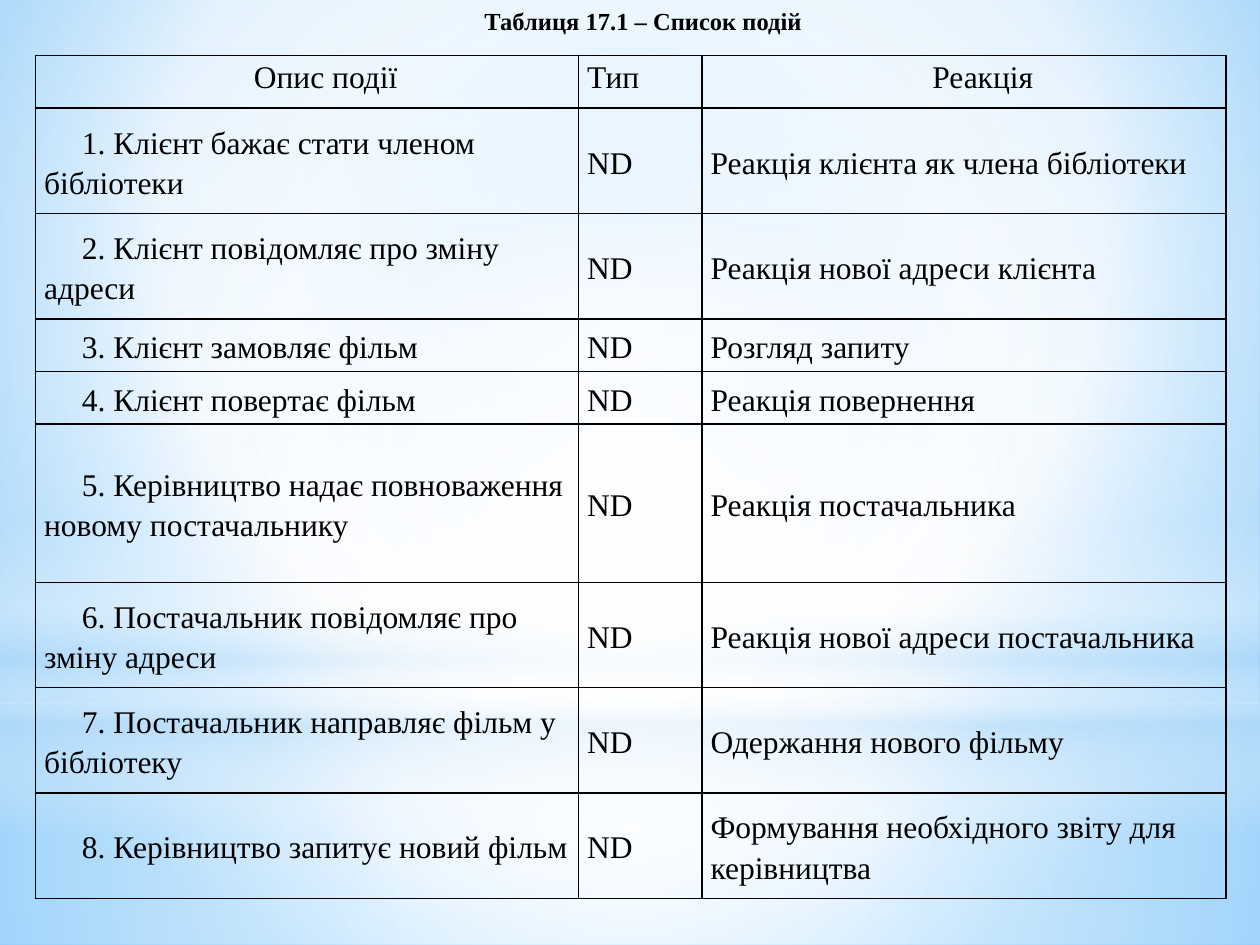
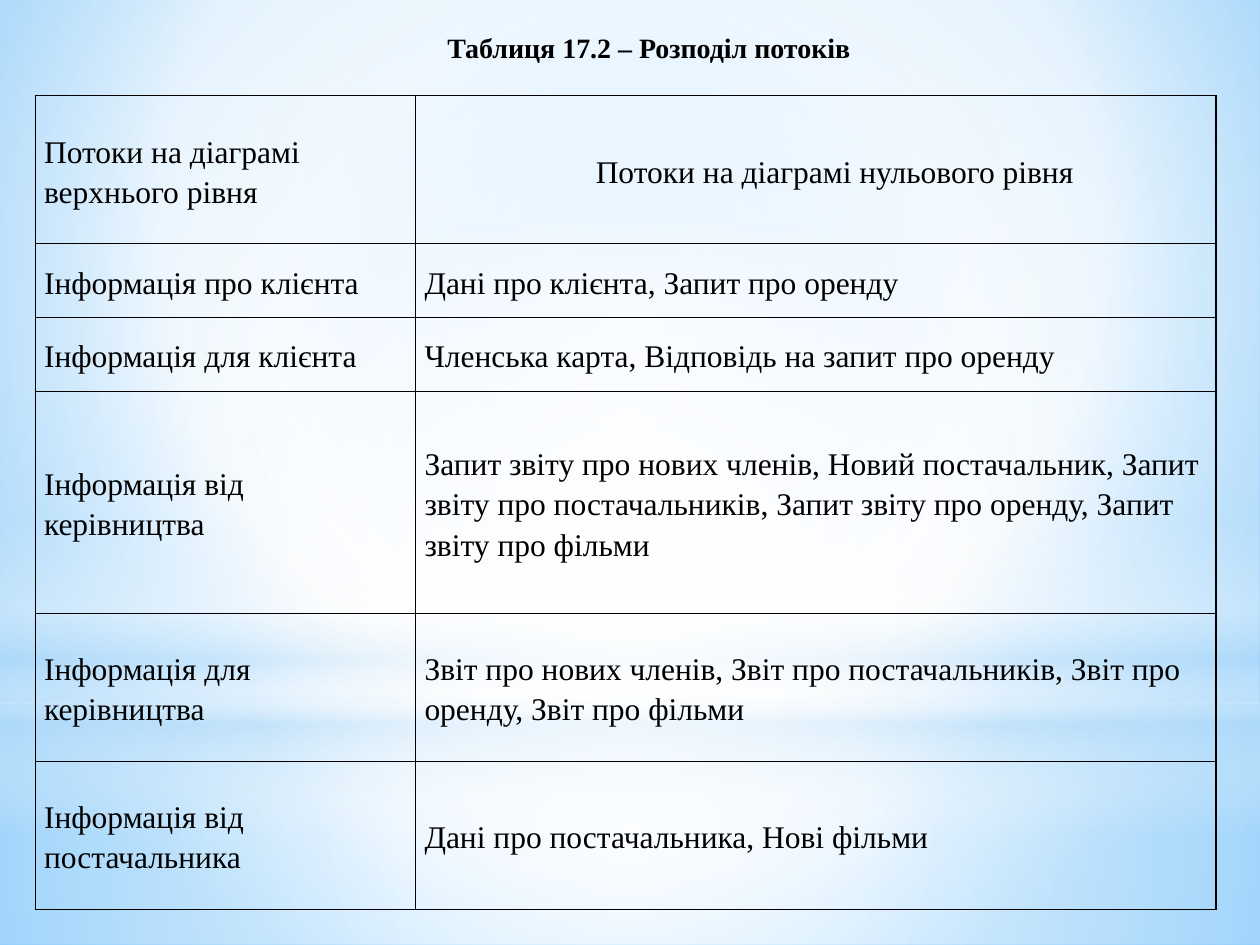
from dataclasses import dataclass

from lxml import etree
from pptx import Presentation
from pptx.dml.color import RGBColor
from pptx.enum.shapes import MSO_SHAPE
from pptx.enum.text import MSO_ANCHOR, PP_ALIGN
from pptx.oxml.ns import qn
from pptx.util import Inches, Pt

RECTANGLE, OVAL = MSO_SHAPE.RECTANGLE, MSO_SHAPE.OVAL
TOP, MIDDLE = MSO_ANCHOR.TOP, MSO_ANCHOR.MIDDLE
LEFT, CENTER = PP_ALIGN.LEFT, PP_ALIGN.CENTER


@dataclass(frozen=True)
class Theme:
    font: str = "Times New Roman"
    ink: str = "000000"
    white: str = "FFFFFF"
    mist: str = "B4DCFA"
    sky: str = "9ED5FF"
    azure: str = "5BB9FF"
    body_size: int = 18
    line_spacing: float = 1.15
    indent: float = 0.3
    cell_margin: float = 0.07
    border: float = 1


THEME = Theme()
MIDPOINT = (50, 50, 50, 50)


# --- Helpers -----------------------------------------------------------------
def add_child(parent, tag, **attributes):
    child = etree.SubElement(parent, qn(tag))
    for name, value in attributes.items():
        child.set(name, str(value))
    return child


def paint_gradient(fill, properties, stops, focus=None):
    """Fill with (position, colour, opacity) stops, round a focus or downwards."""
    fill.solid()
    solid = properties.find(qn("a:solidFill"))
    gradient = etree.Element(qn("a:gradFill"), rotWithShape="1")
    stop_list = add_child(gradient, "a:gsLst")
    for position, colour, opacity in stops:
        stop = add_child(stop_list, "a:gs", pos=position * 1000)
        tint = add_child(stop, "a:srgbClr", val=colour)
        if opacity < 100:
            add_child(tint, "a:alpha", val=opacity * 1000)
    if focus:
        circle = add_child(gradient, "a:path", path="circle")
        sides = {side: share * 1000 for side, share in zip("ltrb", focus)}
        add_child(circle, "a:fillToRect", **sides)
    else:
        add_child(gradient, "a:lin", ang=90 * 60000, scaled=0)
    properties.replace(solid, gradient)


def write(frame, text, size, bold=False, align=LEFT, indent=0, spacing=None):
    para = frame.paragraphs[0]
    para.alignment = align
    para.line_spacing = spacing
    if indent:
        para._p.get_or_add_pPr().set("indent", str(Inches(indent)))
    span = para.add_run()
    span.text = text
    span.font.name = THEME.font
    span.font.size = Pt(size)
    span.font.bold = bold
    span.font.color.rgb = RGBColor.from_string(THEME.ink)


def frame_cell(cell):
    cell.fill.background()
    properties = cell._tc.get_or_add_tcPr()
    for place, side in enumerate(("a:lnL", "a:lnR", "a:lnT", "a:lnB")):
        line = etree.Element(qn(side), w=str(Pt(THEME.border)))
        add_child(add_child(line, "a:solidFill"), "a:srgbClr", val=THEME.ink)
        properties.insert(place, line)


# --- Shared backdrop, on the master ------------------------------------------
def build_backdrop(master, page):
    white, mist = THEME.white, THEME.mist
    background = master.background.fill
    background.solid()
    paint_gradient(background, master.element.find(".//" + qn("p:bgPr")),
                   [(0, THEME.sky, 100), (60, white, 100), (100, THEME.azure, 100)],
                   (20, 10, 20, 60))
    layers = [
        (RECTANGLE, (0, 5.58, 10, 1.92),
         [(0, white, 91), (37, white, 76), (100, mist, 79)], MIDPOINT),
        (RECTANGLE, (0, 0, 10, 5.58),
         [(0, white, 89), (48, white, 62), (100, mist, 79)], MIDPOINT),
        (RECTANGLE, (0, 4.12, 10, 2.5),
         [(0, white, 0), (29, white, 30), (45, mist, 40),
          (55, white, 26), (65, mist, 60), (100, white, 0)], None),
        (OVAL, (0, 1.75, 10, 5.58), [(0, white, 100), (56, white, 0)], MIDPOINT),
    ]
    for kind, box, stops, focus in layers:
        layer = page.shapes.add_shape(kind, *map(Inches, box))
        layer.shadow.inherit = False
        layer.line.fill.background()
        paint_gradient(layer.fill, layer.element.spPr, stops, focus)
        master.shapes.element.append(layer.element)


# --- Regions -----------------------------------------------------------------
def build_title(page, box, text, size, anchor):
    frame = page.shapes.add_textbox(*map(Inches, box)).text_frame
    frame.word_wrap = True
    frame.vertical_anchor = anchor
    write(frame, text, size, bold=True, align=CENTER, indent=THEME.indent)


def build_table(page, box, widths, row_units, rows, centred_heads,
                indented_columns=(), head_anchor=MIDDLE):
    """Row heights share the box height in proportion to row_units."""
    graphic = page.shapes.add_table(len(rows), len(widths), *map(Inches, box))
    table = graphic.table
    table.first_row = table.horz_banding = False
    for column, width in zip(table.columns, widths):
        column.width = Inches(width)
    unit = box[3] / sum(row_units)
    for i, texts in enumerate(rows):
        table.rows[i].height = Inches(row_units[i] * unit)
        for j, text in enumerate(texts):
            cell = table.cell(i, j)
            frame_cell(cell)
            cell.margin_left = cell.margin_right = Inches(THEME.cell_margin)
            cell.margin_top = cell.margin_bottom = 0
            cell.vertical_anchor = head_anchor if i == 0 else MIDDLE
            centred = i == 0 and j in centred_heads
            indented = centred or j in indented_columns
            write(cell.text_frame, text, THEME.body_size,
                  align=CENTER if centred else LEFT,
                  indent=THEME.indent if indented else 0,
                  spacing=THEME.line_spacing)


# --- Content -----------------------------------------------------------------
EVENTS = [
    ("Клієнт бажає стати членом бібліотеки", "Реакція клієнта як члена бібліотеки"),
    ("Клієнт повідомляє про зміну адреси", "Реакція нової адреси клієнта"),
    ("Клієнт замовляє фільм", "Розгляд запиту"),
    ("Клієнт повертає фільм", "Реакція повернення"),
    ("Керівництво надає повноваження новому постачальнику", "Реакція постачальника"),
    ("Постачальник повідомляє про зміну адреси",
     "Реакція нової адреси постачальника"),
    ("Постачальник направляє фільм у бібліотеку", "Одержання нового фільму"),
    ("Керівництво запитує новий фільм",
     "Формування необхідного звіту для керівництва"),
]
EVENT_ROWS = [("Опис події", "Тип", "Реакція")] + [
    (f"{number}. {event}", "ND", reaction)
    for number, (event, reaction) in enumerate(EVENTS, 1)]

FLOW_ROWS = [
    ("Потоки на діаграмі верхнього рівня", "Потоки на діаграмі нульового рівня"),
    ("Інформація про клієнта", "Дані про клієнта, Запит про оренду"),
    ("Інформація для клієнта", "Членська карта, Відповідь на запит про оренду"),
    ("Інформація від керівництва",
     "Запит звіту про нових членів, Новий постачальник, Запит звіту про "
     "постачальників, Запит звіту про оренду, Запит звіту про фільми"),
    ("Інформація для керівництва",
     "Звіт про нових членів, Звіт про постачальників, Звіт про оренду, "
     "Звіт про фільми"),
    ("Інформація від постачальника", "Дані про постачальника, Нові фільми"),
]


# --- Slides ------------------------------------------------------------------
def build_events_slide(page):
    build_table(page, (0.28, 0.44, 9.45, 6.69), (4.31, 0.98, 4.16),
                (1, 2, 2, 1, 1, 3, 2, 2, 2), EVENT_ROWS, centred_heads=(0, 2),
                indented_columns=(0,), head_anchor=TOP)
    build_title(page, (3.43, 0, 3.05, 0.64), "Таблиця 17.1 – Список подій", 14, TOP)


def build_flows_slide(page):
    build_table(page, (0.28, 0.76, 9.37, 6.46), (3.02, 6.35),
                (2, 1, 1, 3, 2, 2), FLOW_ROWS, centred_heads=(1,))
    build_title(page, (3.13, 0.19, 3.74, 0.37),
                "Таблиця 17.2 – Розподіл потоків", 16, MIDDLE)


deck = Presentation()
deck.slide_width, deck.slide_height = Inches(10), Inches(7.5)
blank = deck.slide_layouts[6]
events_page, flows_page = (deck.slides.add_slide(blank) for _ in range(2))
build_backdrop(deck.slide_master, events_page)
build_events_slide(events_page)
build_flows_slide(flows_page)
deck.save("out.pptx")
